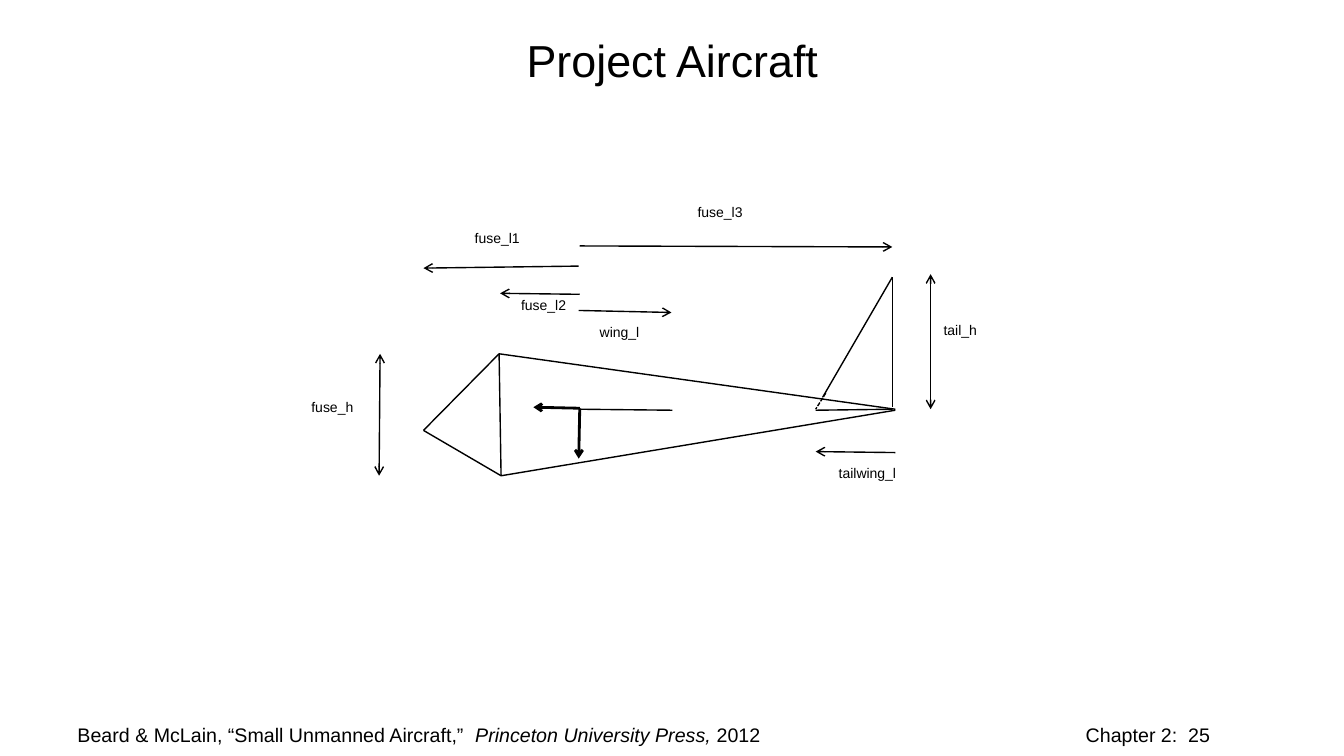
from lxml import etree
from pptx import Presentation
from pptx.dml.color import RGBColor
from pptx.enum import dml, shapes, text
from pptx.oxml import ns
from pptx.util import Inches, Pt

COLORS = {"ink": "000000", "paper": "FFFFFF"}
FONT = "Arial"

NOSE, TOP, BOTTOM = (4.2, 4.27), (4.95, 3.51), (4.97, 4.72)
TAIL_UPPER, TAIL_LOWER = (8.88, 4.06), (8.88, 4.07)
FIN_TIP = (8.85, 2.75)
ORIGIN = (5.75, 4.05)

OUTLINE = [
    (NOSE, BOTTOM),
    (TOP, BOTTOM),
    (NOSE, TOP),
    (TAIL_UPPER, TOP),
    ((5.76, 4.06), (6.67, 4.07)),
    ((8.09, 4.07), (8.85, 4.06)),
    (FIN_TIP, (8.85, 4.04)),
    (FIN_TIP, (8.16, 3.94)),
    (TAIL_LOWER, BOTTOM),
]
BODY_AXES = [(ORIGIN, (5.29, 4.04)), (ORIGIN, (5.74, 4.55))]
LENGTHS = [
    ((5.74, 3.08), (6.66, 3.1)),
    ((5.75, 2.92), (4.96, 2.91)),
    ((5.74, 2.64), (4.2, 2.66)),
    ((5.75, 2.44), (8.85, 2.45)),
    ((8.88, 4.49), (8.09, 4.48)),
]
HEIGHTS = [((3.76, 4.72), (3.77, 3.51)), ((9.23, 4.06), (9.23, 2.72))]
LABELS = [
    ("wing_l", 5.85, 3.16, 0.77),
    ("fuse_l3", 6.82, 1.97, 0.84),
    ("fuse_l2", 5.07, 2.89, 0.84),
    ("fuse_l1", 4.61, 2.23, 0.84),
    ("tailwing_l", 8.22, 4.56, 1),
    ("tail_h", 9.26, 3.14, 0.69),
    ("fuse_h", 2.99, 3.9, 0.8),
]


def add_run(paragraph, words, **formats):
    run = paragraph.add_run()
    run.text = words
    for name, value in {"name": FONT, **formats}.items():
        setattr(run.font, name, value)
    run.font.color.rgb = RGBColor.from_string(COLORS["ink"])


def add_line(slide, start, end, width=1, dash=None, arrows=()):
    points = [Inches(value) for value in (*start, *end)]
    line = slide.shapes.add_connector(shapes.MSO_CONNECTOR.STRAIGHT, *points)
    line.line.color.rgb = RGBColor.from_string(COLORS["ink"])
    line.line.width = Pt(width)
    if dash:
        line.line.dash_style = dash
    outline = line.line._get_or_add_ln()
    for arrow in arrows:
        etree.SubElement(outline, ns.qn(f"a:{arrow}"), type="arrow")
    etree.SubElement(line._element.spPr, ns.qn("a:effectLst"))


def add_text_box(slide, left, top, width, height, wrap):
    box = slide.shapes.add_textbox(*map(Inches, (left, top, width, height)))
    box.text_frame.word_wrap = wrap
    return box.text_frame.paragraphs[0]


def add_title(slide, words):
    title = slide.shapes.title
    position = {"left": 0.67, "top": 0.2, "width": 12, "height": 0.79}
    for name, value in position.items():
        setattr(title, name, Inches(value))
    title.text_frame.vertical_anchor = text.MSO_ANCHOR.MIDDLE
    paragraph = title.text_frame.paragraphs[0]
    paragraph.alignment = text.PP_ALIGN.CENTER
    add_run(paragraph, words, size=Pt(32))


def add_footer(slide):
    paragraph = add_text_box(slide, 0.67, 7.12, 12, 0.39, True)
    properties = paragraph._p.get_or_add_pPr()
    tabs = etree.SubElement(properties, ns.qn("a:tabLst"))
    etree.SubElement(tabs, ns.qn("a:tab"), pos=str(Inches(10)), algn="l")
    for words, italic in [
        ("Beard & McLain, “Small Unmanned Aircraft,”  ", False),
        ("Princeton University Press,", True),
        (" 2012\tChapter 2:  25", False),
    ]:
        add_run(paragraph, words, size=Pt(14), italic=italic)


def add_aircraft(slide):
    for start, end in OUTLINE:
        add_line(slide, start, end)
    add_line(slide, (8.19, 3.9), (8.09, 4.06), dash=dml.MSO_LINE.SQUARE_DOT)
    for start, end in BODY_AXES:
        add_line(slide, start, end, width=2, arrows=["tailEnd"])


def add_dimensions(slide):
    for start, end in LENGTHS:
        add_line(slide, start, end, arrows=["tailEnd"])
    for start, end in HEIGHTS:
        add_line(slide, start, end, arrows=["headEnd", "tailEnd"])
    for words, left, top, width in LABELS:
        paragraph = add_text_box(slide, left, top, width, 0.44, False)
        add_run(paragraph, words, size=Pt(10))


def main():
    presentation = Presentation()
    presentation.slide_width = Inches(13.33)
    presentation.slide_height = Inches(7.5)
    slide = presentation.slides.add_slide(presentation.slide_layouts[5])
    slide.background.fill.solid()
    slide.background.fill.fore_color.rgb = RGBColor.from_string(COLORS["paper"])
    add_title(slide, "Project Aircraft")
    add_footer(slide)
    add_aircraft(slide)
    add_dimensions(slide)
    presentation.save("out.pptx")


if __name__ == "__main__":
    main()
